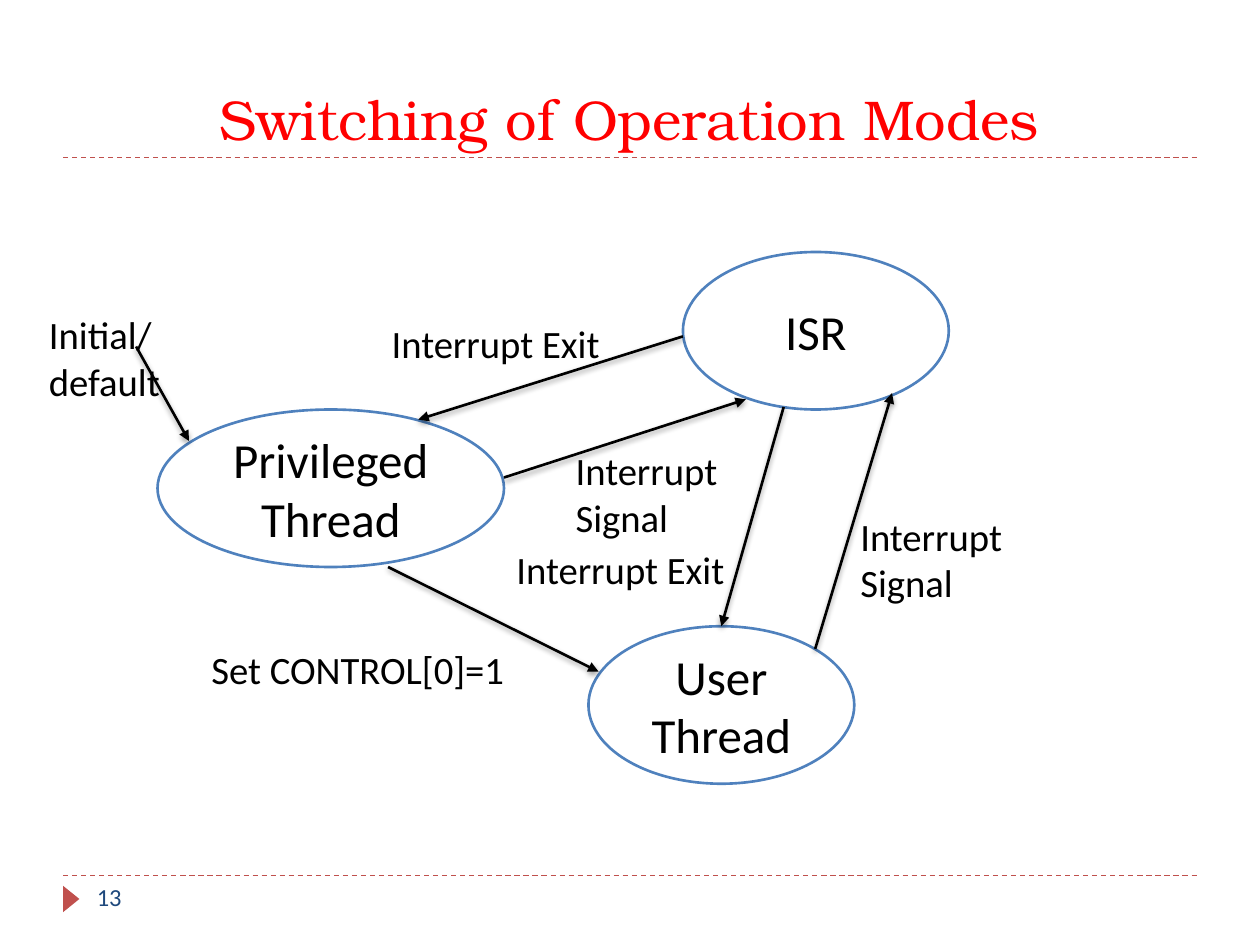
from lxml.etree import SubElement
from pptx import Presentation
from pptx.dml.color import RGBColor
from pptx.enum.dml import MSO_LINE
from pptx.enum.shapes import MSO_CONNECTOR, MSO_SHAPE
from pptx.enum.text import MSO_ANCHOR, PP_ALIGN
from pptx.oxml.ns import qn
from pptx.util import Inches, Pt

BLACK = RGBColor(0x00, 0x00, 0x00)
WHITE = RGBColor(0xFF, 0xFF, 0xFF)
RED = RGBColor(0xFF, 0x00, 0x00)
BRICK = RGBColor(0xC0, 0x50, 0x4D)
BLUE = RGBColor(0x4F, 0x81, 0xBD)
NAVY = RGBColor(0x1F, 0x49, 0x7D)
BODY_FONT = "Calibri"
TITLE_FONT = "TeX Gyre Bonum"
LABEL_SIZE = 22.1


def write_text(shape, text, size, color=BLACK, font=BODY_FONT,
               align=PP_ALIGN.LEFT, anchor=MSO_ANCHOR.TOP):
    """Fill a shape with one paragraph of formatted text."""
    text_frame = shape.text_frame
    text_frame.word_wrap = True
    text_frame.vertical_anchor = anchor
    text_frame.text = text
    paragraph = text_frame.paragraphs[0]
    paragraph.alignment = align
    for run in paragraph.runs:
        run.font.size = Pt(size)
        run.font.name = font
        run.font.color.rgb = color


def add_text(slide, box, text, size=LABEL_SIZE, **style):
    """Add a wrapping text box."""
    shape = slide.shapes.add_textbox(*map(Inches, box))
    write_text(shape, text, size, **style)


def add_state(slide, box, name):
    """Add an outlined ellipse for one operation mode."""
    shape = slide.shapes.add_shape(MSO_SHAPE.OVAL, *map(Inches, box))
    shape.shadow.inherit = False
    shape.fill.solid()
    shape.fill.fore_color.rgb = WHITE
    shape.line.color.rgb = BLUE
    shape.line.width = Pt(1.5)
    write_text(shape, name, 28, align=PP_ALIGN.CENTER, anchor=MSO_ANCHOR.MIDDLE)
    return shape


def add_line(slide, start, end, color, width):
    """Add a straight connector and return it with its empty effect list."""
    connector = slide.shapes.add_connector(
        MSO_CONNECTOR.STRAIGHT, *map(Inches, (*start, *end)))
    connector.line.color.rgb = color
    connector.line.width = Pt(width)
    effects = SubElement(connector._element.spPr, qn("a:effectLst"))
    return connector, effects


def add_rule(slide, top):
    """Add a dashed rule across the slide."""
    rule, _ = add_line(slide, (0.5, top), (9.5, top), BRICK, 0.75)
    rule.line.dash_style = MSO_LINE.DASH


def add_arrow(slide, start, end):
    """Add a transition arrow with a soft shadow."""
    arrow, effects = add_line(slide, start, end, BLACK, 1.5)
    SubElement(arrow.line._get_or_add_ln(), qn("a:tailEnd"), type="triangle")
    shadow = SubElement(effects, qn("a:outerShdw"), blurRad="40000",
                        dist="20000", dir="5400000", rotWithShape="0")
    color = SubElement(shadow, qn("a:srgbClr"), val=str(BLACK))
    SubElement(color, qn("a:alpha"), val="38000")
    return arrow


def add_page_marker(slide):
    """Add the footer triangle that points at the page number."""
    marker = slide.shapes.add_shape(
        MSO_SHAPE.ISOSCELES_TRIANGLE, *map(Inches, (0.46, 7.07, 0.21, 0.13)))
    marker.rotation = 90
    marker.shadow.inherit = False
    marker.fill.solid()
    marker.fill.fore_color.rgb = BRICK
    marker.line.fill.background()


def main():
    """Build the operation mode slide."""
    presentation = Presentation()
    presentation.slide_width = Inches(10)
    presentation.slide_height = Inches(7.5)
    slide = presentation.slides.add_slide(presentation.slide_layouts[6])

    for top in (6.95, 1.25):
        add_rule(slide, top)
    add_page_marker(slide)
    add_text(slide, (0.5, 0.17, 9, 1.08), "Switching of Operation Modes", 32,
             color=RED, font=TITLE_FONT, align=PP_ALIGN.CENTER,
             anchor=MSO_ANCHOR.BOTTOM)
    add_text(slide, (0.67, 6.95, 2.17, 0.4), "13", 14, color=NAVY)
    add_text(slide, (0.29, 2.42, 1.83, 0.42), "Initial/\vdefault")

    add_state(slide, (5.42, 2, 2.11, 1.25), "ISR")
    user_thread = add_state(slide, (4.67, 4.97, 2.11, 1.25), "User Thread")
    add_state(slide, (1.25, 3.25, 2.75, 1.25), "Privileged Thread")

    add_arrow(slide, (5.42, 2.67), (3.32, 3.33))
    add_arrow(slide, (4, 3.79), (5.92, 3.17))
    add_arrow(slide, (6.22, 3.23), (5.72, 4.97)).end_connect(user_thread, 0)
    add_arrow(slide, (6.47, 5.15), (7.08, 3.12))
    add_arrow(slide, (3.08, 4.5), (4.75, 5.33))
    add_arrow(slide, (1.08, 2.75), (1.5, 3.5))

    for left, top, text in (
        (3.01, 2.49, "Interrupt Exit"),
        (4, 4.28, "Interrupt Exit"),
        (6.73, 4.02, "Interrupt Signal"),
        (4.47, 3.5, "Interrupt Signal"),
    ):
        add_text(slide, (left, top, 2.03, 0.69), text)
    add_text(slide, (1.58, 5.08, 2.94, 0.5), "Set CONTROL[0]=1")

    presentation.save("out.pptx")


if __name__ == "__main__":
    main()
